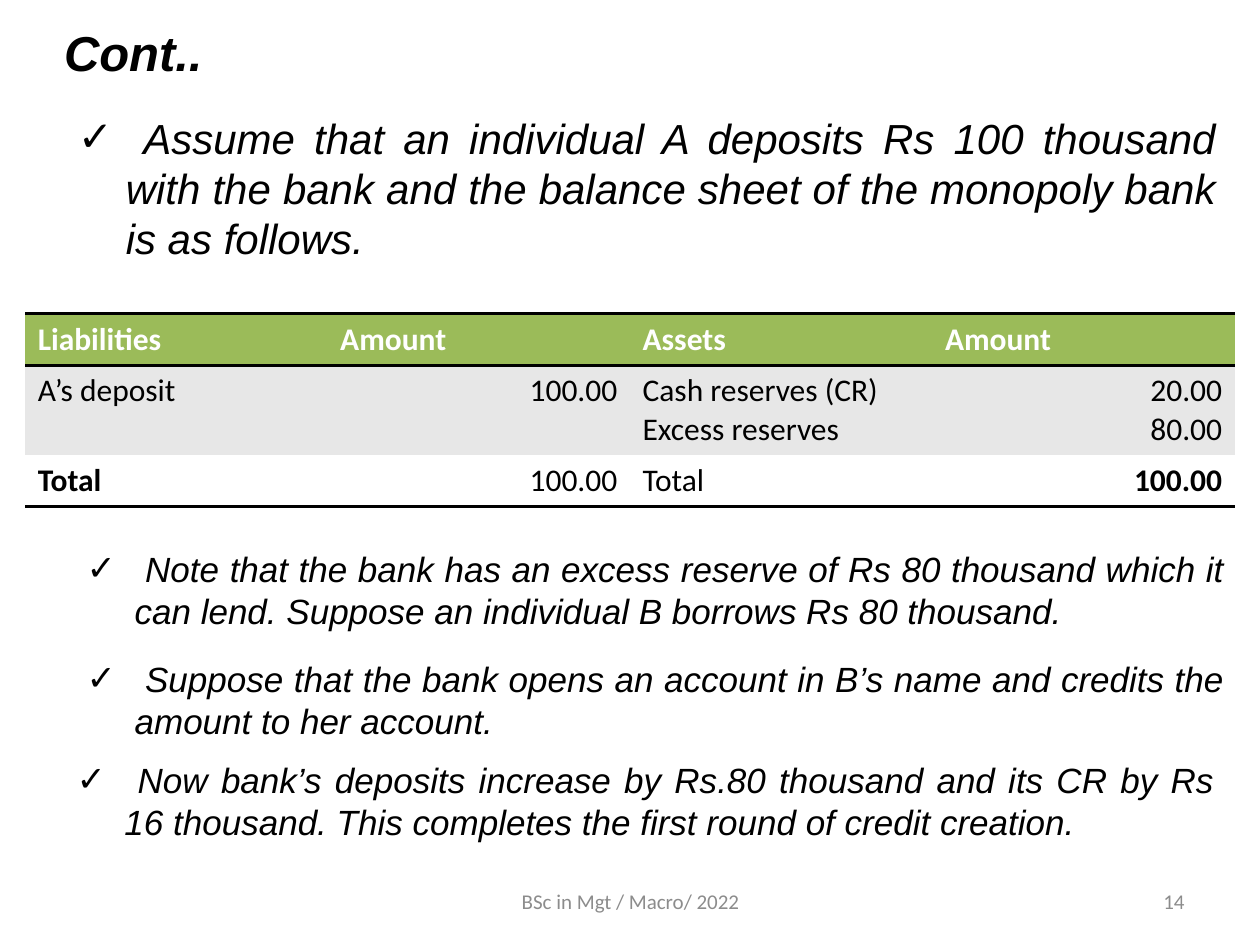
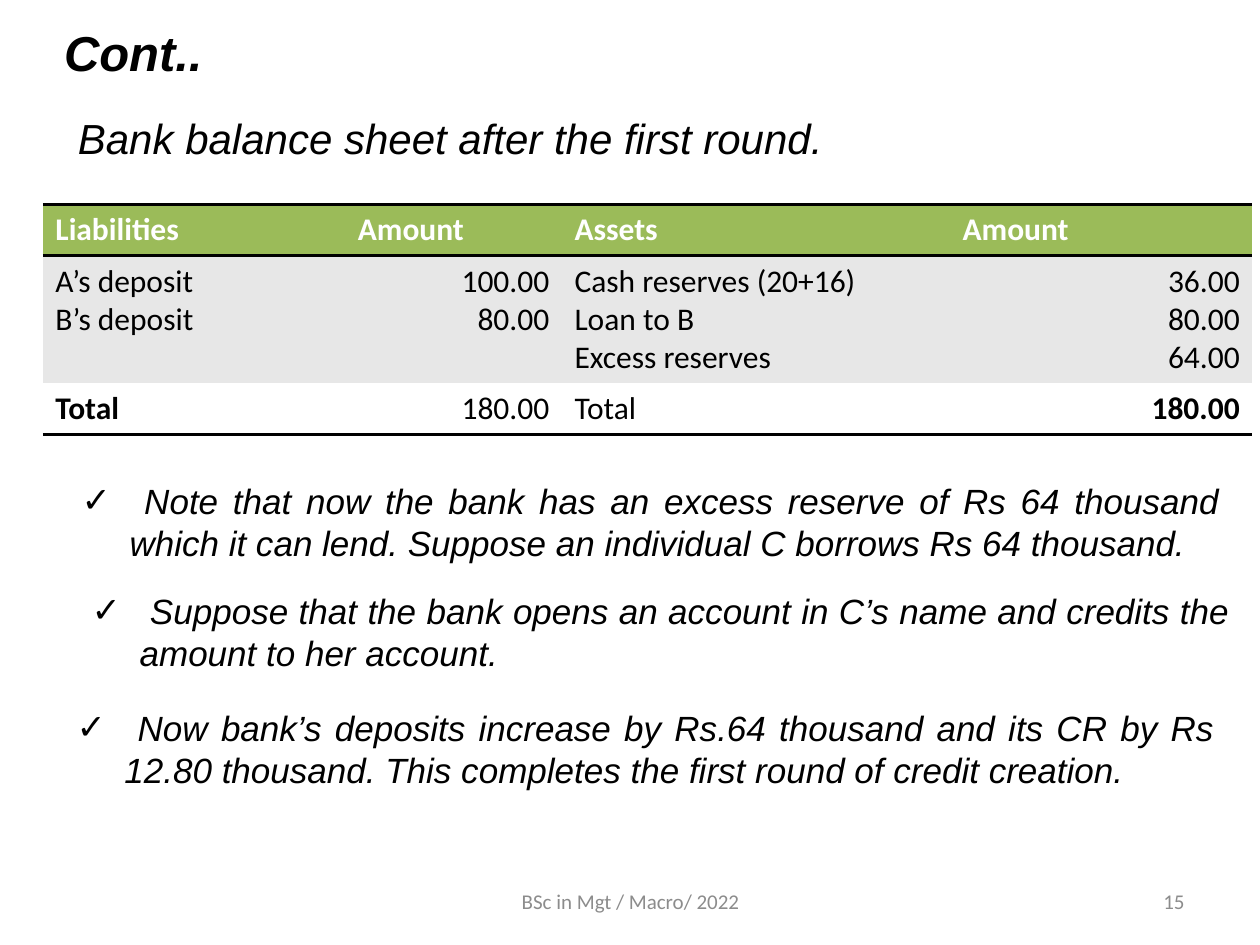
from lxml import etree
from pptx import Presentation
from pptx.dml.color import RGBColor
from pptx.enum import text
from pptx.oxml import ns
from pptx.util import Inches, Pt

BLACK, WHITE, GREEN, GREY, FOOTER_GREY = "000000", "FFFFFF", "9BBB59", "E7E7E7", "8C8C8C"
BODY_FONT, TABLE_FONT = "Arial", "Calibri"
LEFT, CENTER, RIGHT, JUSTIFY = (text.PP_ALIGN.LEFT, text.PP_ALIGN.CENTER,
                                text.PP_ALIGN.RIGHT, text.PP_ALIGN.JUSTIFY)
BODY_WIDTH = 9.23
HEADINGS = ["Liabilities", "Amount", "Assets", "Amount"]


def color(hex_string):
    return RGBColor.from_string(hex_string)


def format_text(frame, font, size, hex_color, align, bold=False, italic=False):
    for paragraph in frame.paragraphs:
        paragraph.alignment = align
        for run in paragraph.runs:
            run.font.name, run.font.size = font, Pt(size)
            run.font.bold, run.font.italic = bold, italic
            run.font.color.rgb = color(hex_color)


def add_text(slide, words, left, top, width, height, font, size,
             hex_color=BLACK, align=LEFT, bold=False, italic=False):
    frame = slide.shapes.add_textbox(
        Inches(left), Inches(top), Inches(width), Inches(height)).text_frame
    frame.word_wrap = True
    frame.text = words
    format_text(frame, font, size, hex_color, align, bold, italic)
    return frame


def add_statement(slide, words, left, top, size, height, check=True):
    """Add a justified italic statement, with a check mark if wanted."""
    frame = add_text(slide, words, left, top, BODY_WIDTH, height, BODY_FONT, size,
                     align=JUSTIFY, italic=True)
    frame.auto_size = text.MSO_AUTO_SIZE.SHAPE_TO_FIT_TEXT
    if check:
        properties = frame.paragraphs[0]._p.get_or_add_pPr()
        properties.set("marL", str(Inches(0.38)))
        properties.set("indent", str(Inches(-0.38)))
        etree.SubElement(properties, ns.qn("a:buFont"), typeface=BODY_FONT)
        etree.SubElement(properties, ns.qn("a:buChar"), char="✓")


def set_borders(cell, ruled_sides):
    """Rule the given sides (T, B) in black and clear the others."""
    properties = cell._tc.get_or_add_tcPr()
    for side in "LRTB":
        line = etree.SubElement(properties, ns.qn("a:ln" + side), w=str(Pt(2)))
        if side in ruled_sides:
            fill = etree.SubElement(line, ns.qn("a:solidFill"))
            etree.SubElement(fill, ns.qn("a:srgbClr"), val=BLACK)
        else:
            etree.SubElement(line, ns.qn("a:noFill"))


def add_balance_sheet(slide, left, top, column_widths, entries, total):
    rows = [HEADINGS, entries, ["Total", total, "Total", total]]
    heights = [0.11 + 0.3 * max(words.count("\n") + 1 for words in row) for row in rows]
    sheet = slide.shapes.add_table(
        len(rows), len(HEADINGS), Inches(left), Inches(top),
        Inches(sum(column_widths)), Inches(sum(heights))).table
    for column, width in zip(sheet.columns, column_widths):
        column.width = Inches(width)
    fills, rules = [GREEN, GREY, WHITE], ["TB", "T", "B"]
    for r, row in enumerate(rows):
        sheet.rows[r].height = Inches(heights[r])
        for c, words in enumerate(row):
            cell = sheet.cell(r, c)
            cell.text = words
            heading = r == 0
            is_amount = c % 2 == 1 and not heading
            format_text(cell.text_frame, TABLE_FONT, 18, WHITE if heading else BLACK,
                        RIGHT if is_amount else LEFT,
                        bold=heading or (r == 2 and c in (0, 3)))
            set_borders(cell, rules[r])
            cell.fill.solid()
            cell.fill.fore_color.rgb = color(fills[r])


def add_base_slide(prs, number):
    """Add a blank slide with the shared title and footers."""
    slide = prs.slides.add_slide(prs.slide_layouts[6])
    add_text(slide, "Cont..", 0.41, 0.13, 9.45, 0.57, BODY_FONT, 28, bold=True, italic=True)
    for words, left, width, align in (("BSc in Mgt / Macro/ 2022", 3.42, 3.17, CENTER),
                                      (str(number), 7.17, 2.33, RIGHT)):
        footer = add_text(slide, words, left, 6.95, width, 0.4, TABLE_FONT, 12,
                          FOOTER_GREY, align)
        footer.vertical_anchor = text.MSO_ANCHOR.MIDDLE
    return slide


def add_round(slide, places, lent, borrower, reserve, note):
    """Add the three statements that describe one round of lending."""
    statements = [
        f" {note} an excess reserve of Rs {lent} thousand which it can lend. "
        f"Suppose an individual {borrower} borrows Rs {lent} thousand. ",
        f" Suppose that the bank opens an account in {borrower}’s name and credits "
        "the amount to her account.",
        f" Now bank’s deposits increase by Rs.{lent} thousand and its CR by Rs {reserve} "
        "thousand. This completes the first round of credit creation. ",
    ]
    for words, (left, top) in zip(statements, places):
        add_statement(slide, words, left, top, 20, 0.77)


def main():
    prs = Presentation()
    prs.slide_width, prs.slide_height = Inches(10), Inches(7.5)

    deposit = add_base_slide(prs, 14)
    add_statement(deposit, " Assume that an individual A deposits Rs 100 thousand with the bank "
                  "and the balance sheet of the monopoly bank is as follows. ",
                  0.52, 0.84, 24, 1.31)
    add_balance_sheet(deposit, 0.2, 2.49, [2.4] * 4,
                      ["A’s deposit", "100.00", "Cash reserves (CR)\nExcess reserves",
                       "20.00\n80.00"], "100.00")
    add_round(deposit, [(0.59, 4.3), (0.59, 5.17), (0.51, 5.97)],
              "80", "B", "16", "Note that the bank has")

    first_round = add_base_slide(prs, 15)
    add_statement(first_round, "Bank balance sheet after the first round. ",
                  0.52, 0.84, 24, 0.5, check=False)
    add_balance_sheet(first_round, 0.34, 1.62, [2.4, 1.72, 3.08, 2.4],
                      ["A’s deposit\nB’s deposit", "100.00\n80.00",
                       "Cash reserves (20+16)\nLoan to B\nExcess reserves",
                       "36.00\n80.00\n64.00"], "180.00")
    add_round(first_round, [(0.55, 3.76), (0.63, 4.63), (0.51, 5.56)],
              "64", "C", "12.80", "Note that now the bank has")

    prs.save("out.pptx")


if __name__ == "__main__":
    main()
